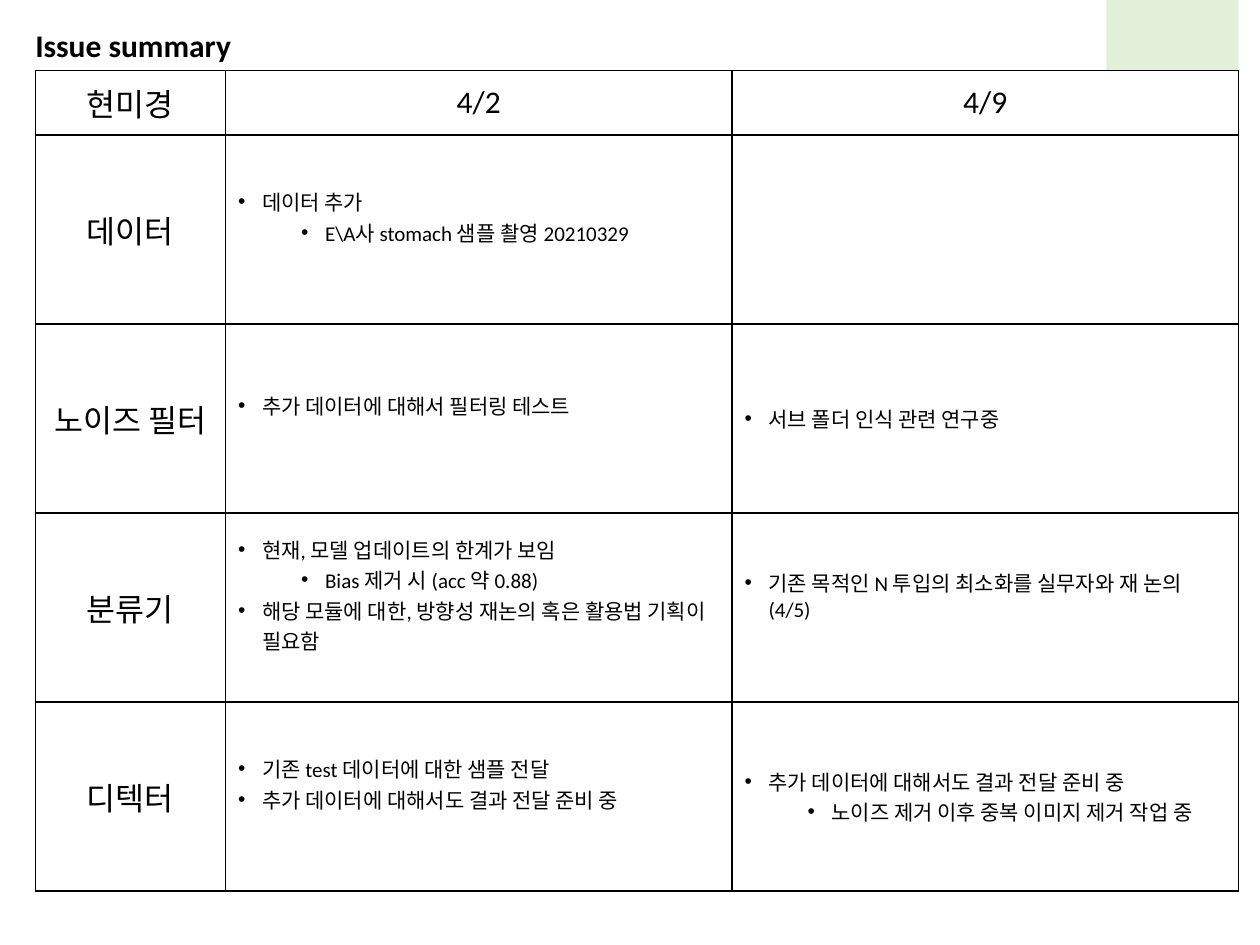
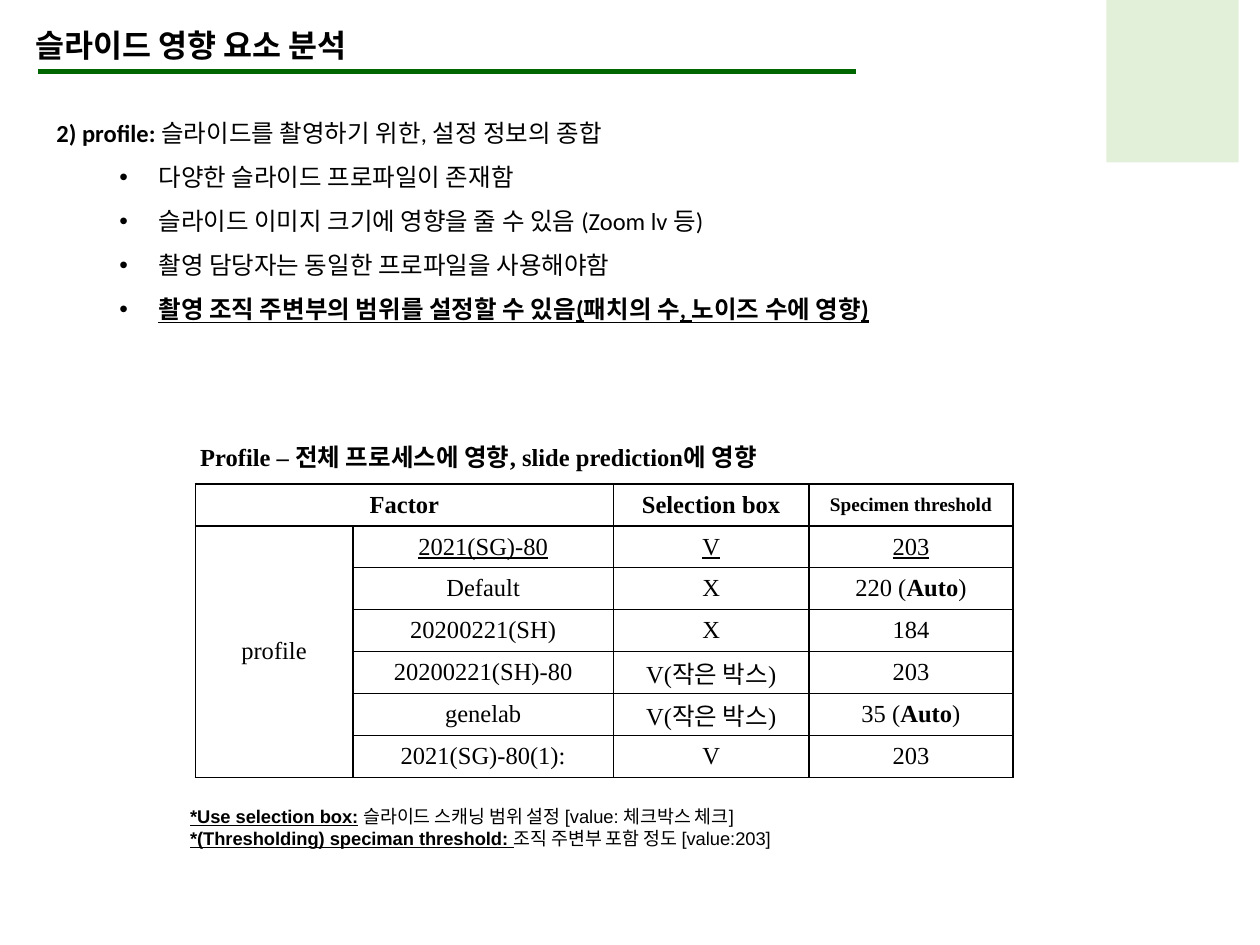
"""Builds two slides of a microscope imaging report: an issue summary and a profile analysis."""
import dataclasses

import lxml.etree
import pptx
import pptx.dml.color
import pptx.enum.shapes
import pptx.enum.text
import pptx.oxml.ns
import pptx.util

Inches = pptx.util.Inches
Pt = pptx.util.Pt
qn = pptx.oxml.ns.qn
CENTER = pptx.enum.text.PP_ALIGN.CENTER
LEFT = pptx.enum.text.PP_ALIGN.LEFT


@dataclasses.dataclass(frozen=True)
class Theme:
    ink: str = "000000"
    paper: str = "FFFFFF"
    rule: str = "006600"
    corner: str = "E2F0D9"
    sans: str = "Calibri"
    serif: str = "Times New Roman"
    note: str = "Arial"
    title_size: float = 18
    body_size: float = 14
    issue_size: float = 12
    narrow_size: float = 11
    note_size: float = 10.5
    border: float = 1


@dataclasses.dataclass
class Line:
    spans: list
    left: float = 0
    hanging: float = 0


@dataclasses.dataclass
class Cell:
    lines: list
    size: float
    align: object = CENTER
    top: float = 0.05
    bottom: float = 0.05


def plain(text):
    return Line([(text, "")])


def issue(text, nested=False):
    return Line([(text, "")], 0.69 if nested else 0.19, 0.19)


def color(code):
    return pptx.dml.color.RGBColor.from_string(code)


class Page:
    def __init__(self, deck, theme):
        self.deck = deck
        self.theme = theme
        self.slide = None

    def start(self, title, width):
        self.slide = self.deck.slides.add_slide(self.deck.slide_layouts[5])
        corner = self.slide.shapes.add_shape(
            pptx.enum.shapes.MSO_SHAPE.RECTANGLE,
            Inches(8.78), Inches(-0.15), Inches(1.05), Inches(1.44))
        corner.shadow.inherit = False
        corner.fill.solid()
        corner.fill.fore_color.rgb = color(self.theme.corner)
        corner.line.fill.background()
        box = self.slide.shapes.title
        box.left, box.top = Inches(0.18), Inches(0.16)
        box.width, box.height = Inches(width), Inches(0.4)
        frame = box.text_frame
        frame.auto_size = pptx.enum.text.MSO_AUTO_SIZE.NONE
        frame.vertical_anchor = pptx.enum.text.MSO_ANCHOR.TOP
        self.fill_text(frame, [Line([(title, "b")])], self.theme.sans, self.theme.title_size)

    def fill_text(self, frame, lines, font, size, align=LEFT, spacing=1.0):
        frame.word_wrap = True
        for index, line in enumerate(lines):
            para = frame.paragraphs[0] if index == 0 else frame.add_paragraph()
            para.alignment = align
            para.line_spacing = spacing
            para.space_before = Pt(0)
            self.indent(para, line)
            for text, style in line.spans:
                span = para.add_run()
                span.text = text
                span.font.name = font
                span.font.size = Pt(size)
                span.font.bold = "b" in style
                span.font.underline = "u" in style
                span.font.color.rgb = color(self.theme.ink)

    def indent(self, para, line):
        props = para._p.get_or_add_pPr()
        props.set("marL", str(Inches(line.left)))
        props.set("indent", str(-Inches(line.hanging)))
        if line.hanging:
            lxml.etree.SubElement(props, qn("a:buFont"), typeface="Arial")
            lxml.etree.SubElement(props, qn("a:buChar"), char="•")

    def text(self, left, top, width, height, lines, font, size, spacing=1.0):
        box = self.slide.shapes.add_textbox(
            Inches(left), Inches(top), Inches(width), Inches(height))
        self.fill_text(box.text_frame, lines, font, size, spacing=spacing)

    def rule(self, left, right, top):
        line = self.slide.shapes.add_connector(
            pptx.enum.shapes.MSO_CONNECTOR.STRAIGHT,
            Inches(left), Inches(top), Inches(right), Inches(top))
        line.line.color.rgb = color(self.theme.rule)
        line.line.width = Pt(3)
        lxml.etree.SubElement(line._element.spPr, qn("a:effectLst"))

    def table(self, left, top, widths, heights, rows, font):
        table = self.slide.shapes.add_table(
            len(heights), len(widths), Inches(left), Inches(top),
            Inches(sum(widths)), Inches(sum(heights))).table
        table.first_row = table.horz_banding = False
        for column, width in zip(table.columns, widths):
            column.width = Inches(width)
        for row, height in zip(table.rows, heights):
            row.height = Inches(height)
        for row, contents in zip(table.rows, rows):
            for cell, content in zip(row.cells, contents):
                self.frame_cell(cell)
                if content is None:
                    continue
                cell.margin_top = Inches(content.top)
                cell.margin_bottom = Inches(content.bottom)
                self.fill_text(cell.text_frame, content.lines, font, content.size, content.align)
        return table

    def frame_cell(self, cell):
        props = cell._tc.get_or_add_tcPr()
        for side in ("a:lnL", "a:lnR", "a:lnT", "a:lnB"):
            edge = lxml.etree.SubElement(props, qn(side), w=str(Pt(self.theme.border)))
            fill = lxml.etree.SubElement(edge, qn("a:solidFill"))
            lxml.etree.SubElement(fill, qn("a:srgbClr"), val=self.theme.ink)
        cell.fill.solid()
        cell.fill.fore_color.rgb = color(self.theme.paper)
        cell.vertical_anchor = pptx.enum.text.MSO_ANCHOR.MIDDLE


def build_issue_summary(page):
    theme = page.theme

    def heading(text):
        return Cell([plain(text)], theme.title_size)

    def issues(*lines, bottom=0.05):
        return Cell(list(lines), theme.issue_size, LEFT, bottom=bottom)

    raised = 0.25
    page.start("Issue summary", 3.13)
    widths = [1.51, 4.02, 4.02]
    page.table(0.28, 0.56, widths, [0.51, 1.5], [
        [heading("현미경"), heading("4/2"), heading("4/9")],
        [heading("데이터"),
         issues(issue("데이터 추가"),
                issue("E\\A사 stomach 샘플 촬영 20210329", True), bottom=raised),
         issues()],
    ], theme.sans)
    page.table(0.28, 2.57, widths, [1.5] * 3, [
        [heading("노이즈 필터"),
         issues(issue("추가 데이터에 대해서 필터링 테스트"), bottom=raised),
         issues(issue("서브 폴더 인식 관련 연구중"))],
        [heading("분류기"),
         issues(issue("현재, 모델 업데이트의 한계가 보임"),
                issue("Bias 제거 시 (acc 약 0.88)", True),
                issue("해당 모듈에 대한, 방향성 재논의 혹은 활용법 기획이 필요함"),
                bottom=raised),
         issues(issue("기존 목적인 N 투입의 최소화를 실무자와 재 논의 (4/5)"), bottom=raised)],
        [heading("디텍터"),
         issues(issue("기존 test 데이터에 대한 샘플 전달"),
                issue("추가 데이터에 대해서도 결과 전달 준비 중"), bottom=raised),
         issues(issue("추가 데이터에 대해서도 결과 전달 준비 중"),
                issue("노이즈 제거 이후 중복 이미지 제거 작업 중", True))],
    ], theme.sans)


def build_profile_analysis(page):
    theme = page.theme

    def value(*spans, size=theme.body_size):
        return Cell([Line(list(spans))], size, top=0, bottom=0)

    def values(*texts, style=""):
        return [value((text, style)) for text in texts]

    def auto(number):
        return value((f"{number} (", ""), ("Auto", "b"), (")", ""))

    page.start("슬라이드 영향 요소 분석", 4.33)
    page.rule(0.3, 6.79, 0.57)
    points = [
        ("다양한 슬라이드 프로파일이 존재함", ""),
        ("슬라이드 이미지 크기에 영향을 줄 수 있음 (Zoom lv 등)", ""),
        ("촬영 담당자는 동일한 프로파일을 사용해야함", ""),
        ("촬영 조직 주변부의 범위를 설정할 수 있음(패치의 수, 노이즈 수에 영향)", "bu"),
    ]
    intro = Line([("2) profile: ", "b"), ("슬라이드를 촬영하기 위한, 설정 정보의 종합", "")])
    page.text(0.35, 0.77, 8.33, 2.57,
              [intro] + [Line([point], 0.81, 0.31) for point in points],
              theme.sans, theme.body_size, 1.5)

    table = page.table(1.55, 3.84, [1.25, 2.07, 1.55, 1.62], [2.33 / 7] * 7, [
        [value(("Factor", "b")), None, value(("Selection box", "b")),
         value(("Specimen threshold", "b"), size=theme.narrow_size)],
        values("profile") + values("2021(SG)-80", "V", "203", style="u"),
        [None] + values("Default", "X") + [auto(220)],
        [None] + values("20200221(SH)", "X", "184"),
        [None] + values("20200221(SH)-80", "V(작은 박스)", "203"),
        [None] + values("genelab", "V(작은 박스)") + [auto(35)],
        [None] + values("2021(SG)-80(1):", "V", "203"),
    ], theme.serif)
    table.cell(0, 0).merge(table.cell(0, 1))
    table.cell(1, 0).merge(table.cell(6, 0))

    page.text(1.49, 3.46, 4.82, 0.34,
              [Line([("Profile – 전체 프로세스에 영향, slide prediction에 영향", "b")])],
              theme.serif, theme.body_size)
    page.text(0.91, 6.34, 8.11, 0.47, [
        Line([("*Use selection box:", "bu"),
              (" 슬라이드 스캐닝 범위 설정 [value: 체크박스 체크]", "")], 0.5),
        Line([("*(Thresholding) speciman threshold: ", "bu"),
              ("조직 주변부 포함 정도 [value:203]", "")], 0.5),
    ], theme.note, theme.note_size)


def main():
    deck = pptx.Presentation()
    deck.slide_width, deck.slide_height = Inches(10), Inches(7.5)
    page = Page(deck, Theme())
    build_issue_summary(page)
    build_profile_analysis(page)
    deck.save("out.pptx")


if __name__ == "__main__":
    main()
